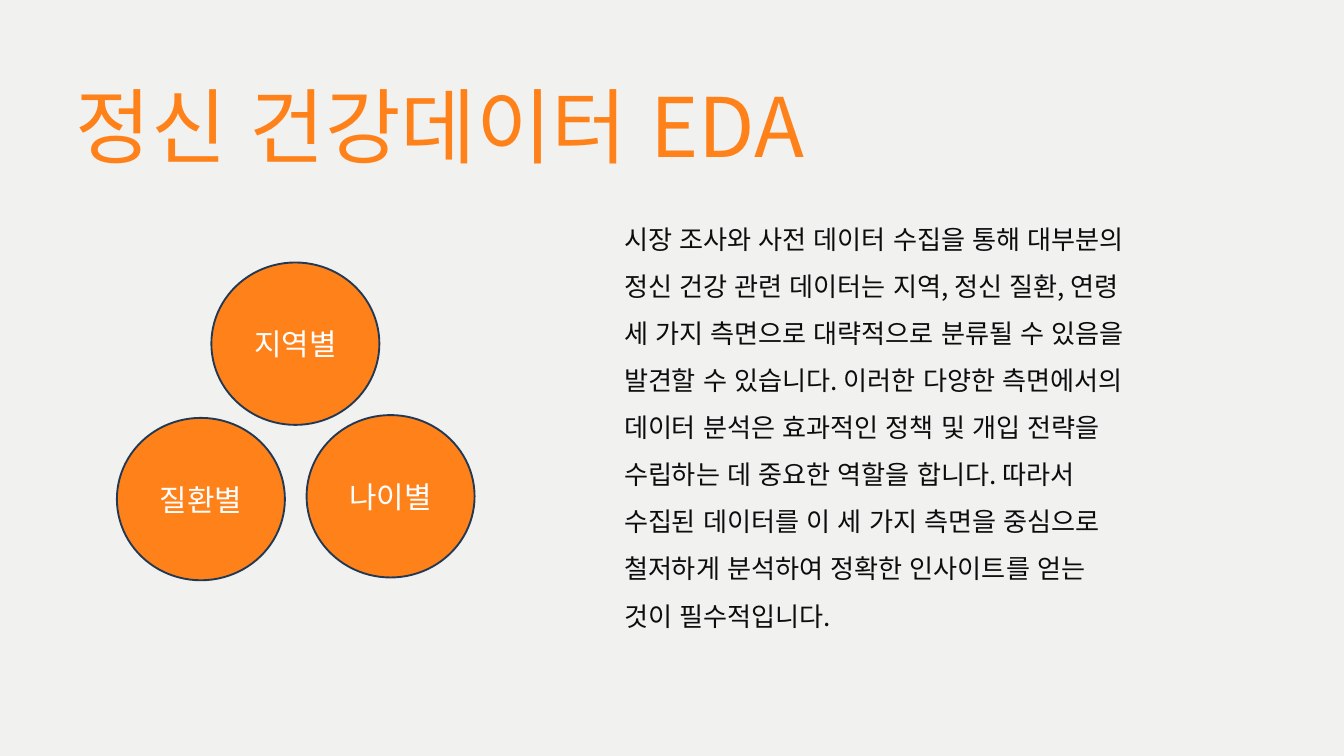
from lxml import etree
from pptx import Presentation
from pptx.dml.color import RGBColor
from pptx.enum.lang import MSO_LANGUAGE_ID
from pptx.enum.shapes import MSO_SHAPE
from pptx.enum.text import MSO_ANCHOR, MSO_AUTO_SIZE, PP_ALIGN
from pptx.oxml.ns import qn
from pptx.util import Pt

CIRCLE = MSO_SHAPE.FLOWCHART_CONNECTOR
KOREAN = MSO_LANGUAGE_ID.KOREAN
CENTER = PP_ALIGN.CENTER
MIDDLE = MSO_ANCHOR.MIDDLE
NO_AUTOFIT = MSO_AUTO_SIZE.NONE

PX = 9525
FONT = "Noto Sans CJK KR"
COLORS = {
    "background": "F1F1F0",
    "accent": "FF811A",
    "outline": "233953",
    "label": "FFFFFF",
    "body": "0D0D0D",
}

TITLE = "정신 건강데이터 EDA"
CATEGORIES = [
    ("지역별", 302, 375),
    ("질환별", 167, 597),
    ("나이별", 438, 593),
]
CIRCLE_SIZE = (240, 232)
SUMMARY = (
    "시장 조사와 사전 데이터 수집을 통해 대부분의 정신 건강 관련 데이터는 "
    "지역, 정신 질환, 연령 세 가지 측면으로 대략적으로 분류될 수 있음을 "
    "발견할 수 있습니다. 이러한 다양한 측면에서의 데이터 분석은 효과적인 "
    "정책 및 개입 전략을 수립하는 데 중요한 역할을 합니다. 따라서 수집된 "
    "데이터를 이 세 가지 측면을 중심으로 철저하게 분석하여 정확한 "
    "인사이트를 얻는 것이 필수적입니다."
)
NO_MARGINS = {
    "margin_left": 0,
    "margin_top": 0,
    "margin_right": 0,
    "margin_bottom": 0,
}


def px(*lengths):
    return [length * PX for length in lengths]


def color(name):
    return RGBColor.from_string(COLORS[name])


def write(frame, text, size, color_name, frame_format, paragraph_format):
    for name, value in frame_format.items():
        setattr(frame, name, value)
    paragraph = frame.paragraphs[0]
    for name, value in paragraph_format.items():
        setattr(paragraph, name, value)
    run = paragraph.add_run()
    run.text = text
    font_format = {"name": FONT, "size": Pt(size), "language_id": KOREAN}
    for name, value in font_format.items():
        setattr(run.font, name, value)
    run.font.color.rgb = color(color_name)
    etree.SubElement(run.font._element, qn("a:ea"), typeface=FONT)


def add_text(slide, box, text, size, color_name, line_spacing, margins):
    frame = slide.shapes.add_textbox(*px(*box)).text_frame
    frame_format = {"word_wrap": True, "auto_size": NO_AUTOFIT, **margins}
    write(frame, text, size, color_name, frame_format, {"line_spacing": line_spacing})


def add_category(slide, label, left, top):
    circle = slide.shapes.add_shape(CIRCLE, *px(left, top, *CIRCLE_SIZE))
    circle.shadow.inherit = False
    circle.fill.solid()
    circle.fill.fore_color.rgb = color("accent")
    circle.line.color.rgb = color("outline")
    circle.line.width = Pt(2)
    frame_format = {"word_wrap": True, "vertical_anchor": MIDDLE}
    write(circle.text_frame, label, 32, "label", frame_format, {"alignment": CENTER})


def main():
    deck = Presentation()
    deck.slide_width, deck.slide_height = px(1920, 1080)
    slide = deck.slides.add_slide(deck.slide_layouts[6])
    slide.background.fill.solid()
    slide.background.fill.fore_color.rgb = color("background")

    add_text(slide, (108, 107, 1686, 141), TITLE, 88, "accent", Pt(105.6), NO_MARGINS)
    for label, left, top in CATEGORIES:
        add_category(slide, label, left, top)
    add_text(slide, (882, 292, 736, 681), SUMMARY, 28, "body", 1.5, {})

    deck.save("out.pptx")


if __name__ == "__main__":
    main()
